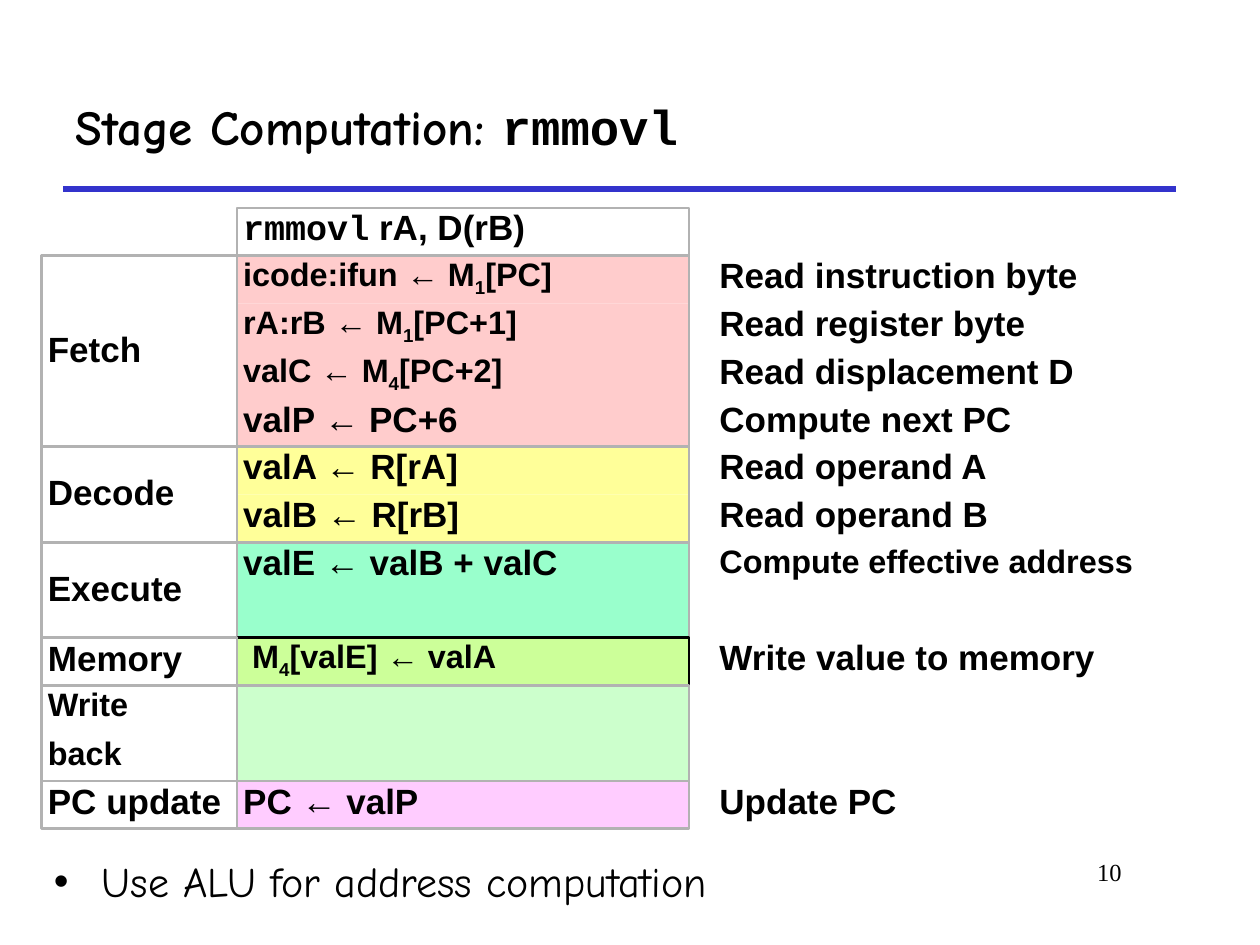
from dataclasses import dataclass

from pptx import Presentation
from pptx.dml.color import RGBColor as RGB
from pptx.enum.shapes import MSO_CONNECTOR as CONNECTOR, MSO_SHAPE as SHAPE
from pptx.enum.text import MSO_ANCHOR as ANCHOR, PP_ALIGN as ALIGN
from pptx.oxml.ns import qn
from pptx.util import Inches, Pt
from lxml.etree import SubElement


@dataclass(frozen=True)
class Theme:
    text: str = "000000"
    rule: str = "3333CC"
    border: str = "B2B2B2"
    fetch: str = "FFCCCC"
    decode: str = "FFFF99"
    execute: str = "99FFCC"
    memory: str = "CCFF99"
    write_back: str = "CCFFCC"
    pc_update: str = "FFCCFF"
    heading_font: str = "Comic Neue"
    body_font: str = "Arial"
    code_font: str = "Courier New"
    number_font: str = "Times New Roman"
    title_size: float = 28
    bullet_size: float = 24
    cell_size: float = 20
    small_size: float = 18.5
    number_size: float = 14


theme = Theme()


def add_run(paragraph, text, font=theme.body_font, size=theme.cell_size, bold=True, subscript=False):
    run = paragraph.add_run()
    run.text = text
    run.font.name, run.font.size, run.font.bold = font, Pt(size), bold
    run.font.color.rgb = RGB.from_string(theme.text)
    if subscript:
        run.font._element.set("baseline", "-25000")


def add_cell(column, row, rows=1, fill=None, line=None, anchor=ANCHOR.TOP):
    """Add a rectangle covering grid rows and return it, ready for text."""
    left, width = column
    cell = shapes.add_shape(SHAPE.RECTANGLE, Inches(left), Inches(grid_top + row * row_height),
                            Inches(width), Inches(rows * row_height))
    cell.shadow.inherit = False
    if fill:
        cell.fill.solid()
        cell.fill.fore_color.rgb = RGB.from_string(fill)
    else:
        cell.fill.background()
    if line:
        cell.line.color.rgb = RGB.from_string(line)
        cell.line.width = Pt(1.5)
    else:
        cell.line.fill.background()
    frame = cell.text_frame
    frame.word_wrap = True
    frame.vertical_anchor = anchor
    frame.margin_left = frame.margin_right = frame.margin_top = frame.margin_bottom = Inches(0.05)
    frame.paragraphs[0].alignment = ALIGN.LEFT
    return cell


# Grid, in inches: each column is (left, width)
stage_column, step_column, note_column = (0.33, 1.55), (1.88, 3.59), (5.66, 3.59)
grid_top, row_height = 1.65, 0.379

# Stage lines, fill, border, then steps as (runs, note); a second run is a subscript
stages = [
    (["Fetch"], theme.fetch, theme.border, [
        (["icode:ifun ← M", "1", "[PC]"], "Read instruction byte"),
        (["rA:rB ← M", "1", "[PC+1]"], "Read register byte"),
        (["valC ← M", "4", "[PC+2]"], "Read displacement D"),
        (["valP ← PC+6"], "Compute next PC")]),
    (["Decode"], theme.decode, theme.border, [
        (["valA ← R[rA]"], "Read operand A"),
        (["valB ← R[rB]"], "Read operand B")]),
    (["Execute"], theme.execute, theme.border, [
        (["valE ← valB + valC"], "Compute effective address"),
        ([], "")]),
    (["Memory"], theme.memory, theme.text, [
        ([" M", "4", "[valE] ← valA"], "Write value to memory")]),
    (["Write", "back"], theme.write_back, theme.border, [([], ""), ([], "")]),
    (["PC update"], theme.pc_update, theme.border, [(["PC ← valP"], "Update PC")]),
]

presentation = Presentation()
presentation.slide_width, presentation.slide_height = Inches(10), Inches(7.5)
slide = presentation.slides.add_slide(presentation.slide_layouts[5])
shapes = slide.shapes

# Title and rule
title = shapes.title
title.left, title.top, title.width, title.height = (Inches(n) for n in (0.5, 0.5, 8.83, 1))
title.text_frame.vertical_anchor = ANCHOR.MIDDLE
paragraph = title.text_frame.paragraphs[0]
paragraph.alignment = ALIGN.LEFT
add_run(paragraph, "Stage Computation: ", theme.heading_font, theme.title_size)
add_run(paragraph, "rmmovl", theme.code_font, theme.title_size)

rule = shapes.add_connector(CONNECTOR.STRAIGHT, Inches(0.5), Inches(1.5), Inches(9.33), Inches(1.5))
rule.line.color.rgb = RGB.from_string(theme.rule)
rule.line.width = Pt(3)
SubElement(rule._element.spPr, qn("a:effectLst"))

# Instruction header
header = add_cell(step_column, 0, line=theme.border)
paragraph = header.text_frame.paragraphs[0]
paragraph.line_spacing = 0.8
add_run(paragraph, "rmmovl", theme.code_font)
add_run(paragraph, " rA, D(rB)")

# Stages
first_row = 1
for names, fill, border, steps in stages:
    count = len(steps)
    for row, (runs, note) in enumerate(steps, first_row):
        cell = add_cell(step_column, row, fill=fill, line=border if count == 1 else None)
        has_subscript = len(runs) > 1
        paragraph = cell.text_frame.paragraphs[0]
        paragraph.line_spacing = 0.7 if has_subscript else 0.8
        for index, text in enumerate(runs):
            add_run(paragraph, text, size=theme.small_size if has_subscript else theme.cell_size,
                    subscript=index == 1)
        if note:
            paragraph = add_cell(note_column, row).text_frame.paragraphs[0]
            paragraph.line_spacing = 0.8
            is_long = len(note) > 22
            add_run(paragraph, note, size=theme.small_size if is_long else theme.cell_size)
    if count > 1:
        add_cell(step_column, first_row, count, line=border)

    label = add_cell(stage_column, first_row, count, line=theme.border, anchor=ANCHOR.MIDDLE)
    for index, name in enumerate(names):
        frame = label.text_frame
        paragraph = frame.add_paragraph() if index else frame.paragraphs[0]
        paragraph.alignment = ALIGN.LEFT
        if len(names) > 1:
            paragraph.line_spacing = 0.7
        else:
            paragraph.line_spacing = 0.8 if count == 1 else 0.9
        if index:
            paragraph.space_before = Pt(12.5)
        add_run(paragraph, name, size=theme.small_size if len(names) > 1 else theme.cell_size)
    first_row += count

# Closing bullet
takeaway = shapes.add_textbox(Inches(0.33), Inches(6.74), Inches(9.08), Inches(0.59))
takeaway.text_frame.word_wrap = True
paragraph = takeaway.text_frame.paragraphs[0]
properties = paragraph._p.get_or_add_pPr()
properties.set("marL", str(Inches(0.38)))
properties.set("indent", str(-Inches(0.38)))
SubElement(properties, qn("a:buFont"), typeface=theme.body_font)
SubElement(properties, qn("a:buChar"), char="•")
add_run(paragraph, "Use ALU for address computation", theme.heading_font, theme.bullet_size, bold=False)

# Slide number
number = shapes.add_textbox(Inches(7.58), Inches(6.75), Inches(1.42), Inches(0.5))
number.text_frame.word_wrap = True
paragraph = number.text_frame.paragraphs[0]
paragraph.alignment = ALIGN.RIGHT
add_run(paragraph, "10", theme.number_font, theme.number_size, bold=False)

presentation.save("out.pptx")
